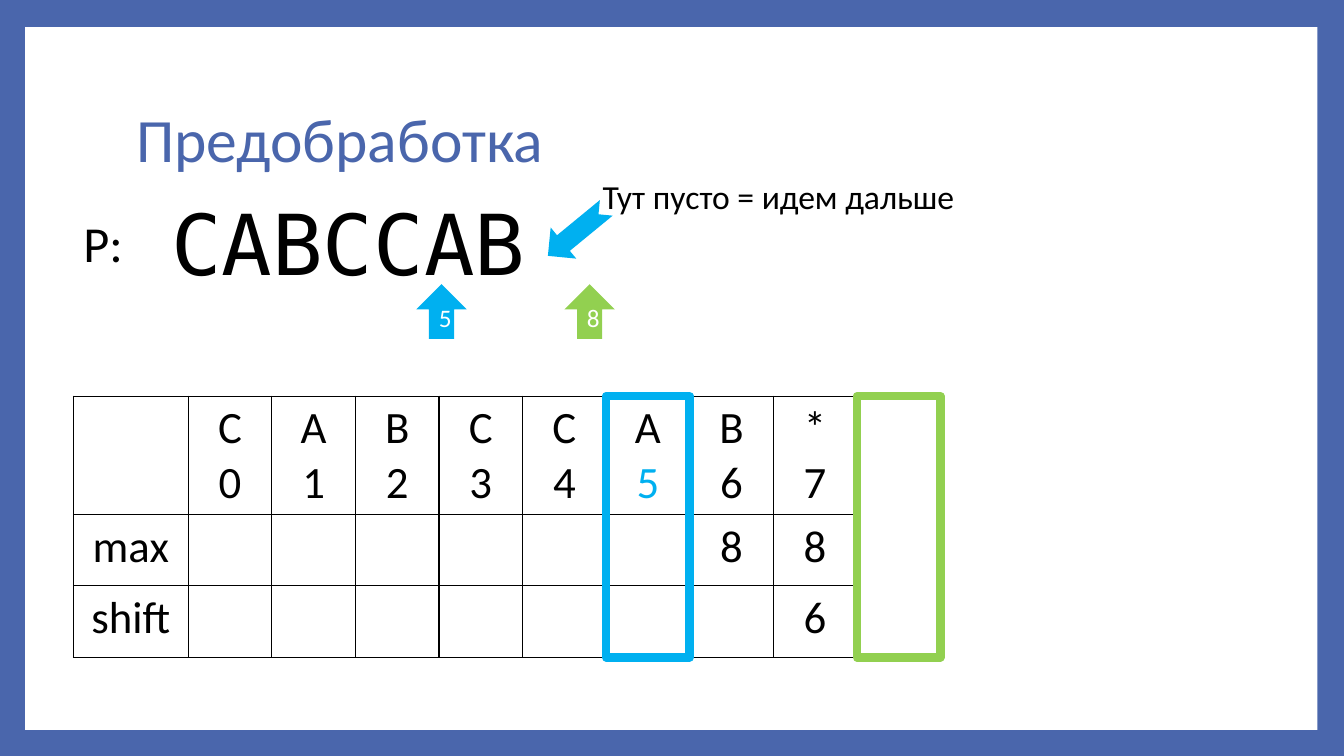
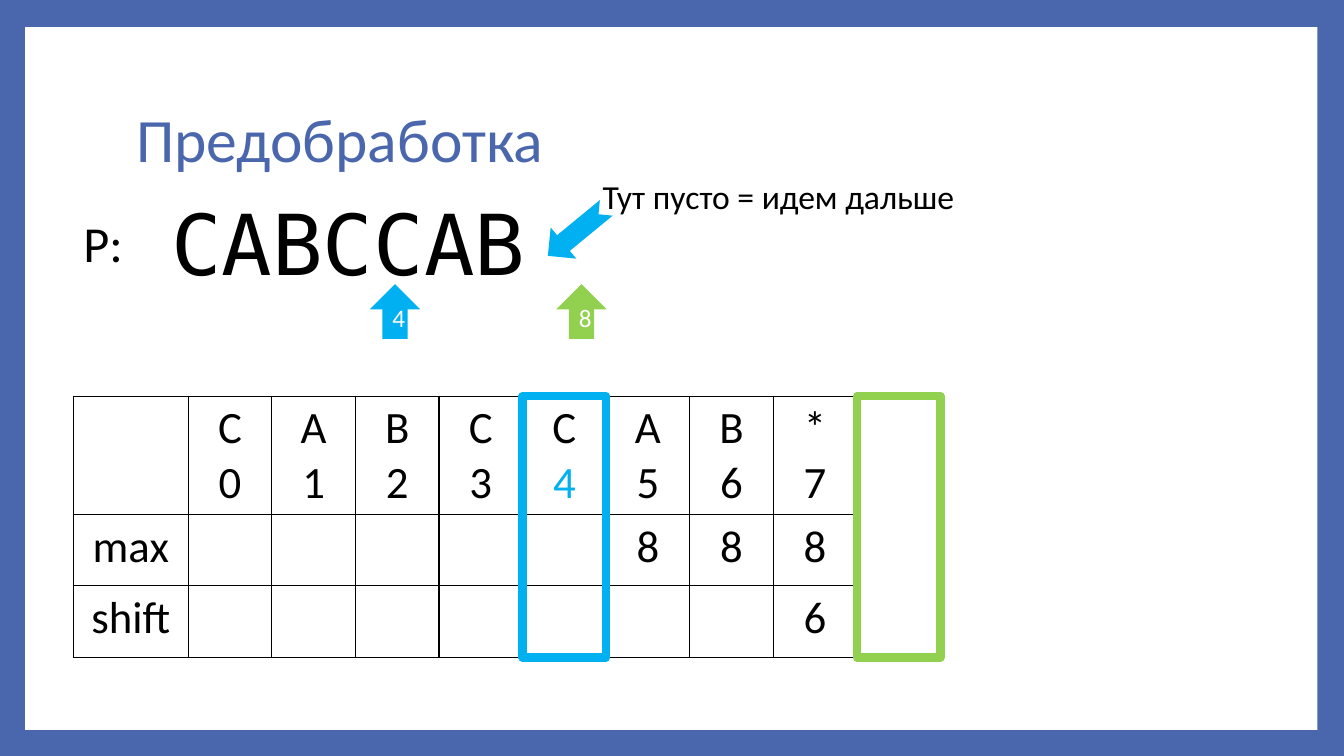
from lxml import etree
from pptx import Presentation
from pptx.dml.color import RGBColor
from pptx.enum import shapes, text
from pptx.oxml import ns
from pptx.util import Pt

COLORS = {"band": "4A66AC", "white": "FFFFFF", "black": "000000",
          "current": "00B0F0", "border": "92D050"}
SANS, MONO = "Calibri", "DejaVu Sans Mono"
PATTERN = "CABCCAB"
TABLE_LEFT, TABLE_TOP = 52.5, 283
LABEL_W, COL_W = 82, 59.7
ROW_HEIGHTS = [84.4, 51.1, 51.1]


def rgb(name):
    """Return the named colour."""
    return RGBColor.from_string(COLORS[name])


def style(p, size, color="black", font=SANS, align=text.PP_ALIGN.LEFT):
    """Set the font and alignment of a paragraph."""
    p.alignment = align
    p.font.size = Pt(size)
    p.font.name = font
    p.font.color.rgb = rgb(color)


def add_shape(slide, kind, box, fill=None, line=None):
    """Add a preset shape with a plain fill, a thick outline, or both."""
    sp = slide.shapes.add_shape(kind, *map(Pt, box))
    sp.shadow.inherit = False
    if fill:
        sp.fill.solid()
        sp.fill.fore_color.rgb = rgb(fill)
    else:
        sp.fill.background()
    if line:
        sp.line.color.rgb = rgb(line)
        sp.line.width = Pt(6)
    else:
        sp.line.fill.background()
    return sp


def add_label(slide, words, box, size, font=SANS):
    """Add a text box holding one line."""
    tf = slide.shapes.add_textbox(*map(Pt, box)).text_frame
    tf.word_wrap = True
    tf.text = words
    style(tf.paragraphs[0], size, font=font)


def add_title(slide, words):
    """Place and format the title placeholder."""
    sp = slide.shapes.title
    sp.left, sp.top, sp.width, sp.height = map(Pt, (90, 48.2, 777.6, 106.6))
    tf = sp.text_frame
    tf.text = words
    tf.vertical_anchor = text.MSO_ANCHOR.MIDDLE
    style(tf.paragraphs[0], 44, "band")
    tf.paragraphs[0].line_spacing = 0.9


def add_pointer(slide, left, value, color):
    """Add an upward arrow that carries an index."""
    sp = add_shape(slide, shapes.MSO_SHAPE.UP_ARROW, (left, 203, 36, 39), color)
    sp.text_frame.text = str(value)
    style(sp.text_frame.paragraphs[0], 18, "white", align=text.PP_ALIGN.CENTER)


def add_frame(slide, column, color):
    """Outline one pattern column over the full table height."""
    left = TABLE_LEFT + LABEL_W + column * COL_W
    box = (left, TABLE_TOP, COL_W, sum(ROW_HEIGHTS))
    add_shape(slide, shapes.MSO_SHAPE.RECTANGLE, box, line=color)


def set_borders(cell):
    """Draw a thin black line on each side of a cell."""
    tc_pr = cell._tc.get_or_add_tcPr()
    for i, side in enumerate("LRTB"):
        ln = etree.Element(ns.qn(f"a:ln{side}"), w=str(Pt(1)))
        fill = etree.SubElement(ln, ns.qn("a:solidFill"))
        etree.SubElement(fill, ns.qn("a:srgbClr"), val=COLORS["black"])
        tc_pr.insert(i, ln)


def add_shift_table(slide, current):
    """Add the max and shift table with the current index coloured."""
    end = len(PATTERN)
    header = [f"{c}\n{i}" for i, c in enumerate(PATTERN + "*")]
    maxima = ["8" if i > current else "" for i in range(end + 1)]
    rows = [["", *header], ["max", *maxima], ["shift", *[""] * end, "6"]]
    width = LABEL_W + len(header) * COL_W
    box = (TABLE_LEFT, TABLE_TOP, width, sum(ROW_HEIGHTS))
    table = slide.shapes.add_table(len(rows), len(rows[0]), *map(Pt, box)).table
    table.first_row = table.horz_banding = False
    for i, col in enumerate(table.columns):
        col.width = Pt(COL_W if i else LABEL_W)
    for row, height, values in zip(table.rows, ROW_HEIGHTS, rows):
        row.height = Pt(height)
        for cell, value in zip(row.cells, values):
            cell.fill.background()
            set_borders(cell)
            cell.text = value
            for p in cell.text_frame.paragraphs:
                style(p, 32, align=text.PP_ALIGN.CENTER)
    index = table.cell(0, current + 1).text_frame.paragraphs[1]
    index.font.color.rgb = rgb("current")


def set_up_layout(prs, layout):
    """Give the master its blue band and the layout its white panel."""
    fill = prs.slide_master.background.fill
    fill.solid()
    fill.fore_color.rgb = rgb("band")
    panel = add_shape(prs.slides[0], shapes.MSO_SHAPE.RECTANGLE,
                      (18, 19.4, 923, 502), "white")
    layout.shapes.element.insert(2, panel.element)


def build_slide(slide, current, current_left, border_left):
    """Build one step of the preprocessing."""
    add_title(slide, "Предобработка")
    add_label(slide, PATTERN, (115.2, 133.2, 404, 80), 60, MONO)
    add_label(slide, "P:", (52.5, 147.6, 48.2, 51), 36)
    add_pointer(slide, current_left, current, "current")
    add_pointer(slide, border_left, 8, "border")
    add_shift_table(slide, current)
    arrow = add_shape(slide, shapes.MSO_SHAPE.NOTCHED_RIGHT_ARROW,
                      (385.2, 151.2, 54, 28.8), "current")
    arrow.rotation = 140.6
    add_frame(slide, current, "current")
    add_frame(slide, len(PATTERN) + 1, "border")
    add_label(slide, "Тут пусто = идем дальше", (423.4, 122.4, 279.4, 36), 24)


def main():
    """Build and save the deck."""
    prs = Presentation()
    prs.slide_width, prs.slide_height = Pt(960), Pt(540)
    layout = prs.slide_layouts[5]
    for step in ((5, 297.4, 403.2), (4, 264.2, 397.4)):
        build_slide(prs.slides.add_slide(layout), *step)
    set_up_layout(prs, layout)
    prs.save("out.pptx")


if __name__ == "__main__":
    main()
